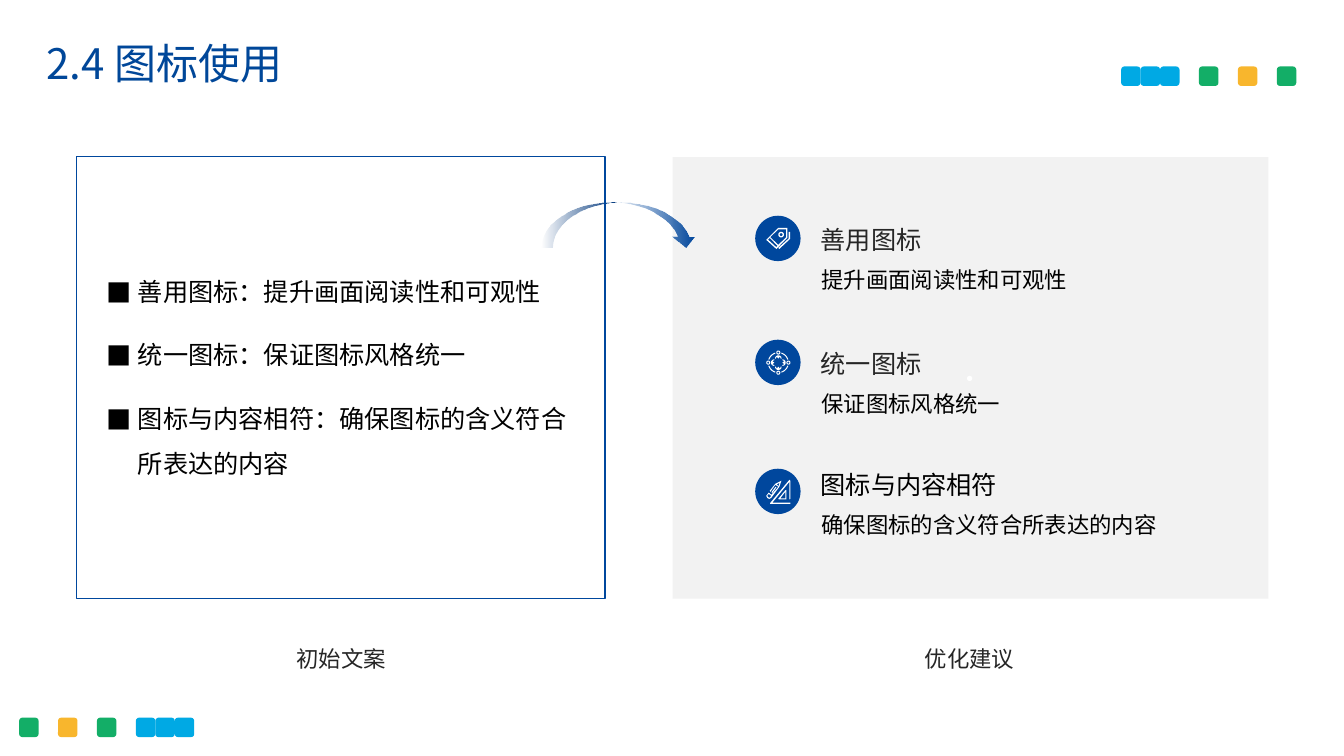
from dataclasses import dataclass
from math import cos, radians, sin

from lxml.etree import SubElement
from pptx import Presentation
from pptx.dml.color import RGBColor
from pptx.enum.shapes import MSO_SHAPE as Shape
from pptx.enum.text import MSO_ANCHOR as Anchor, PP_ALIGN as Align
from pptx.oxml.ns import qn
from pptx.util import Inches, Pt


@dataclass(frozen=True)
class Theme:
    font: str = "Noto Sans CJK SC"
    navy: str = "00479D"
    title_blue: str = "004799"
    sky: str = "00A9E4"
    green: str = "13AE67"
    amber: str = "F8B62D"
    panel: str = "F2F2F2"
    white: str = "FFFFFF"
    black: str = "000000"
    gray: str = "262626"
    title_size: int = 30
    body_size: int = 18
    note_size: int = 16


theme = Theme()


def ring(x, y, outer, inner):
    return [[(x + r * cos(radians(a)), y + r * sin(radians(a))) for a in range(0, 360, 20)]
            for r in (outer, inner)]


def arc_band(middle):
    angles = range(middle - 27, middle + 28, 6)
    return [(12 + r * cos(radians(a)), 11.8 + r * sin(radians(a)))
            for r, turn in ((10.4, angles), (9.4, reversed(angles))) for a in turn]


def turned(points, angle):
    c, s = cos(radians(angle)), sin(radians(angle))
    return [(12 + x * c - y * s, 11.8 + x * s + y * c) for x, y in points]


CUP = [(-3.2, 4), (-3, 5.5), (-1.5, 7), (0, 7.3), (1.5, 7), (3, 5.5), (3.2, 4),
       (2.4, 4), (1.6, 6), (0, 4), (-1.6, 6), (-2.4, 4)]
TAG = [
    [(12, 0), (21, 0), (21, 10), (10, 21), (0, 12)],
    [(12, 1.5), (4, 9.3), (12, 17), (19.8, 9.3), (19.8, 1.5)],
    [(3.5, 10), (1.8, 11.8), (10, 19.3), (11.2, 18)],
    [(22.3, 4), (23.7, 4), (23.7, 11), (13, 21), (12, 20), (22.3, 10.6)],
    *ring(14.8, 6.8, 2.8, 1.5),
]
TARGET = [outline for angle in range(0, 360, 90) for outline in (
    *ring(12 + 10 * cos(radians(angle)), 11.8 + 10 * sin(radians(angle)), 2, 1),
    arc_band(angle + 45), turned(CUP, angle))]
DRAFTING = [
    [(23, 0), (24, 1), (24, 19), (23, 19.5), (23, 2), (6, 22.8), (24, 22.8),
     (24, 24), (4, 24), (4, 23)],
    [(20, 10), (20, 19.5), (12.5, 19.5), (12, 18.8), (19, 10.4)],
    [(18.9, 12), (13.9, 18.5), (18.9, 18.5)],
    [(15, 1), (13, 7), (5, 18), (3, 19), (1, 18), (0, 16), (2.5, 12.7), (5, 15),
     (12, 7), (9, 5), (4.2, 12), (3.5, 11), (9, 4)],
    [(2.4, 14), (1, 16), (2, 17.3), (3.5, 17.8), (5, 16)],
    [(13.2, 3), (10.2, 4.8), (12.4, 6.2)],
    [(9.3, 7), (10, 7.7), (6, 13), (5.2, 12.4)],
]

TITLE = "2.4 图标使用"
DRAFT = ["善用图标：提升画面阅读性和可观性", "统一图标：保证图标风格统一",
         "图标与内容相符：确保图标的含义符合所表达的内容"]
ADVICE = [
    ("善用图标", "提升画面阅读性和可观性", theme.gray, 2.17, 2.14, 2.26, TAG),
    ("统一图标", "保证图标风格统一", theme.gray, 3.40, 3.37, 3.48, TARGET),
    ("图标与内容相符", "确保图标的含义符合所表达的内容", theme.black, 4.60, 4.65, 4.76, DRAFTING),
]
CAPTIONS = [("初始文案", 2.26), ("优化建议", 8.49)]
DOT = 0.193
RIGHT_DOTS = [(0, theme.sky), (1, theme.sky), (2, theme.sky),
              (4, theme.green), (6, theme.amber), (8, theme.green)]
LEFT_DOTS = [(8 - step, color) for step, color in RIGHT_DOTS]

deck = Presentation()
deck.slide_width, deck.slide_height = Inches(13.33), Inches(7.5)
page = deck.slides.add_slide(deck.slide_layouts[5])


def paint(shape, fill=None, line=None):
    shape.shadow.inherit = False
    if fill:
        shape.fill.solid()
        shape.fill.fore_color.rgb = RGBColor.from_string(fill)
    else:
        shape.fill.background()
    if line:
        shape.line.color.rgb = RGBColor.from_string(line)
        shape.line.width = Pt(1)
    else:
        shape.line.fill.background()


def add_block(kind, left, top, width, height, fill=None, line=None):
    shape = page.shapes.add_shape(kind, Inches(left), Inches(top), Inches(width), Inches(height))
    paint(shape, fill, line)
    return shape


def write(para, text, size, color, spacing=1.0, align=Align.LEFT):
    para.alignment = align
    para.line_spacing = spacing
    span = para.add_run()
    span.text = text
    span.font.size = Pt(size)
    span.font.bold = False
    span.font.name = theme.font
    span.font.color.rgb = RGBColor.from_string(color)
    SubElement(span.font._element, qn("a:ea"), typeface=theme.font)


def add_box(left, top, width, height, inset=True):
    box = page.shapes.add_textbox(Inches(left), Inches(top), Inches(width), Inches(height))
    frame = box.text_frame
    frame.word_wrap = True
    if not inset:
        frame.margin_left = frame.margin_right = frame.margin_top = frame.margin_bottom = 0
    return frame


def add_icon(outlines, left, top):
    grid = [[(x * 100, y * 100) for x, y in outline] for outline in outlines]
    builder = page.shapes.build_freeform(*grid[0][0], scale=Inches(0.01) / 100)
    builder.add_line_segments(grid[0][1:], close=True)
    for outline in grid[1:]:
        builder.move_to(*outline[0])
        builder.add_line_segments(outline[1:], close=True)
    paint(builder.convert_to_shape(Inches(left), Inches(top)), theme.white)


title = page.shapes.title
title.left, title.top, title.width, title.height = map(Inches, (0.36, 0.38, 9.93, 0.58))
title.text_frame.vertical_anchor = Anchor.TOP
write(title.text_frame.paragraphs[0], TITLE, theme.title_size, theme.title_blue, 0.9)

for start, top, dots in ((11.12, 0.66, RIGHT_DOTS), (0.19, 7.12, LEFT_DOTS)):
    for step, color in dots:
        add_block(Shape.ROUNDED_RECTANGLE, start + step * DOT, top, DOT, DOT, color)

draft = add_box(0.96, 2.54, 4.84, 2.24)
for index, line in enumerate(DRAFT):
    para = draft.paragraphs[0] if index == 0 else draft.add_paragraph()
    if index:
        para.space_before = Pt(13)
    props = para._p.get_or_add_pPr()
    props.set("marL", str(Inches(0.31)))
    props.set("indent", str(-Inches(0.31)))
    SubElement(props, qn("a:buFont"), typeface=theme.font)
    SubElement(props, qn("a:buChar"), char="■")
    write(para, line, theme.body_size, theme.black, 1.5)

panel = add_block(Shape.RECTANGLE, 6.67, 1.56, 5.91, 4.38, theme.panel)
panel.text_frame.vertical_anchor = Anchor.MIDDLE
write(panel.text_frame.paragraphs[0], "·", theme.body_size, theme.white, align=Align.CENTER)

arrow = add_block(Shape.CURVED_DOWN_ARROW, 5.37, 2.01, 1.54, 0.45)
arrow.fill.gradient()
arrow.fill.gradient_angle = 0
for stop, position in zip(arrow.fill.gradient_stops, (0, 1)):
    stop.position = position
    stop.color.rgb = RGBColor.from_string(theme.navy)
clear = arrow.fill.gradient_stops[0]._gs.find(qn("a:srgbClr"))
SubElement(clear, qn("a:alpha"), val="0")

for heading, note, color, head_top, disc_top, icon_top, outlines in ADVICE:
    write(add_box(8.14, head_top, 2.01, 0.34, inset=False).paragraphs[0],
          heading, theme.body_size, color, 1.2)
    add_block(Shape.OVAL, 7.49, disc_top, 0.45, 0.45, theme.navy)
    write(add_box(8.05, head_top + 0.29, 3.7, 0.46).paragraphs[0],
          note, theme.note_size, theme.black, 1.5)
    add_icon(outlines, 7.6, icon_top)

for caption, left in CAPTIONS:
    write(add_box(left, 6.22, 2.25, 0.46).paragraphs[0],
          caption, theme.note_size, theme.gray, 1.5, Align.CENTER)

add_block(Shape.RECTANGLE, 0.76, 1.55, 5.24, 4.39, line=theme.navy)
deck.save("out.pptx")
